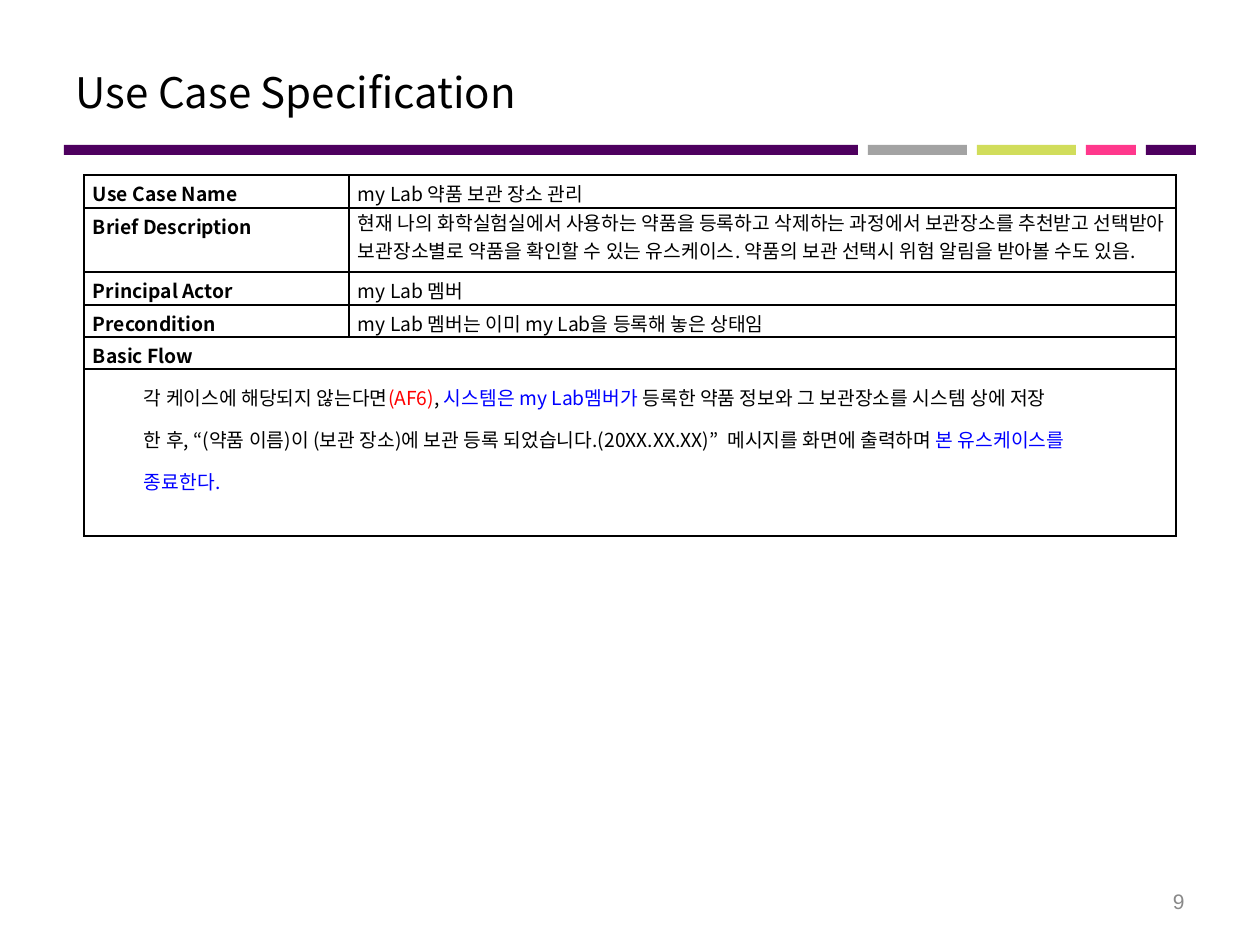
import pptx
import pptx.dml.color
import pptx.enum.shapes
import pptx.enum.text
import pptx.oxml
import pptx.oxml.ns
import pptx.util

RGBColor = pptx.dml.color.RGBColor
PP_ALIGN = pptx.enum.text.PP_ALIGN
MIDDLE = pptx.enum.text.MSO_ANCHOR.MIDDLE

PX_PER_INCH = 126
FONT = "Noto Sans CJK KR"

BLACK = RGBColor(0x00, 0x00, 0x00)
WHITE = RGBColor(0xFF, 0xFF, 0xFF)
RED = RGBColor(0xFF, 0x00, 0x00)
BLUE = RGBColor(0x00, 0x00, 0xFF)
PURPLE = RGBColor(0x4E, 0x00, 0x5F)
GRAY = RGBColor(0xA3, 0xA3, 0xA3)
LIME = RGBColor(0xD1, 0xDD, 0x5B)
PINK = RGBColor(0xFF, 0x38, 0x8C)
NUMBER_GRAY = RGBColor(0x89, 0x89, 0x89)

BARS = [(794, PURPLE), (99, GRAY), (99, LIME), (50, PINK), (50, PURPLE)]
COLUMN_WIDTHS = [265, 827]
ROW_HEIGHTS = [33, 64, 33, 32, 32, 167]
FIELDS = [
    ("Use Case Name", "my Lab 약품 보관 장소 관리"),
    ("Brief Description",
     "현재 나의 화학실험실에서 사용하는 약품을 등록하고 삭제하는 과정에서 보관장소를 추천받고 선택받아 "
     "보관장소별로 약품을 확인할 수 있는 유스케이스. 약품의 보관 선택시 위험 알림을 받아볼 수도 있음."),
    ("Principal Actor", "my Lab 멤버"),
    ("Precondition", "my Lab 멤버는 이미 my Lab을 등록해 놓은 상태임"),
]
BASIC_FLOW = [
    [("각 케이스에 해당되지 않는다면", BLACK), ("(AF6)", RED), (", ", BLACK),
     ("시스템은 my Lab멤버가 ", BLUE),
     ("등록한 약품 정보와 그 보관장소를 시스템 상에 저장", BLACK)],
    [("한 후, “(약품 이름)이 (보관 장소)에 보관 등록 되었습니다.(20XX.XX.XX)”  "
      "메시지를 화면에 출력하며 ", BLACK), ("본 유스케이스를 ", BLUE)],
    [("종료한다.", BLUE)],
]


def px(length):
    return pptx.util.Emu(round(length * 914400 / PX_PER_INCH))


def format_run(run, size, color, bold=False, font=FONT):
    run.font.size = pptx.util.Pt(size)
    run.font.bold = bold
    run.font.name = font
    run.font.color.rgb = color
    east_asian = pptx.oxml.parse_xml(
        f'<a:ea {pptx.oxml.ns.nsdecls("a")} typeface="{font}"/>')
    run.font._element.find(pptx.oxml.ns.qn("a:latin")).addnext(east_asian)


def add_title(slide, text):
    title = slide.shapes.title
    title.left, title.top, title.width, title.height = map(px, (63, 38, 1134, 107))
    frame = title.text_frame
    frame.text = text
    frame.vertical_anchor = MIDDLE
    frame.paragraphs[0].alignment = PP_ALIGN.LEFT
    format_run(frame.paragraphs[0].runs[0], 24, BLACK)


def add_bars(slide, left, top, height, gap):
    for width, color in BARS:
        bar = slide.shapes.add_shape(
            pptx.enum.shapes.MSO_SHAPE.RECTANGLE,
            px(left), px(top), px(width), px(height))
        bar.shadow.inherit = False
        bar.fill.solid()
        bar.fill.fore_color.rgb = color
        bar.line.fill.background()
        left += width + gap


def add_page_number(slide, number):
    box = slide.shapes.add_textbox(px(903), px(876), px(294), px(50))
    frame = box.text_frame
    frame.word_wrap = True
    frame.vertical_anchor = MIDDLE
    frame.text = number
    frame.paragraphs[0].alignment = PP_ALIGN.RIGHT
    format_run(frame.paragraphs[0].runs[0], 12, NUMBER_GRAY, font="Arial")


def style_cell(cell):
    cell.margin_left = cell.margin_right = px(9)
    cell.margin_top = cell.margin_bottom = 0
    properties = cell._tc.get_or_add_tcPr()
    for side in ("lnL", "lnR", "lnT", "lnB"):
        properties.append(pptx.oxml.parse_xml(
            f'<a:{side} {pptx.oxml.ns.nsdecls("a")} w="12700"><a:solidFill>'
            f'<a:srgbClr val="{BLACK}"/></a:solidFill></a:{side}>'))
    cell.fill.solid()
    cell.fill.fore_color.rgb = WHITE


def write_cell(cell, text, bold=False, justified=True):
    cell.text_frame.text = text
    paragraph = cell.text_frame.paragraphs[0]
    if justified:
        paragraph.alignment = PP_ALIGN.JUSTIFY
        paragraph.line_spacing = 1.15
    format_run(paragraph.runs[0], 11, BLACK, bold)


def write_flow(cell, lines):
    frame = cell.text_frame
    for index, parts in enumerate(lines):
        paragraph = frame.add_paragraph() if index else frame.paragraphs[0]
        paragraph.alignment = PP_ALIGN.JUSTIFY
        paragraph.line_spacing = 1.5
        paragraph._p.get_or_add_pPr().set("marL", str(px(51)))
        for text, color in parts:
            run = paragraph.add_run()
            run.text = text
            format_run(run, 11, color)


def add_use_case_table(slide):
    table = slide.shapes.add_table(
        len(ROW_HEIGHTS), len(COLUMN_WIDTHS), px(84), px(175),
        px(sum(COLUMN_WIDTHS)), px(sum(ROW_HEIGHTS))).table
    table.first_row = table.horz_banding = False
    for column, width in zip(table.columns, COLUMN_WIDTHS):
        column.width = px(width)
    for row, height in zip(table.rows, ROW_HEIGHTS):
        row.height = px(height)
    for cell in table.iter_cells():
        style_cell(cell)

    # Field names and values
    for row, (name, value) in enumerate(FIELDS):
        write_cell(table.cell(row, 0), name, bold=True)
        write_cell(table.cell(row, 1), value, justified=name != "Brief Description")

    # Basic flow across both columns
    heading_row = len(FIELDS)
    for row in (heading_row, heading_row + 1):
        table.cell(row, 0).merge(table.cell(row, 1))
    write_cell(table.cell(heading_row, 0), "Basic Flow", bold=True)
    write_flow(table.cell(heading_row + 1, 0), BASIC_FLOW)


def main():
    presentation = pptx.Presentation()
    presentation.slide_width, presentation.slide_height = px(1260), px(945)
    slide = presentation.slides.add_slide(presentation.slide_layouts[5])
    add_bars(slide, left=64, top=145, height=10, gap=10)
    add_title(slide, "Use Case Specification")
    add_page_number(slide, "9")
    add_use_case_table(slide)
    presentation.save("out.pptx")


if __name__ == "__main__":
    main()
